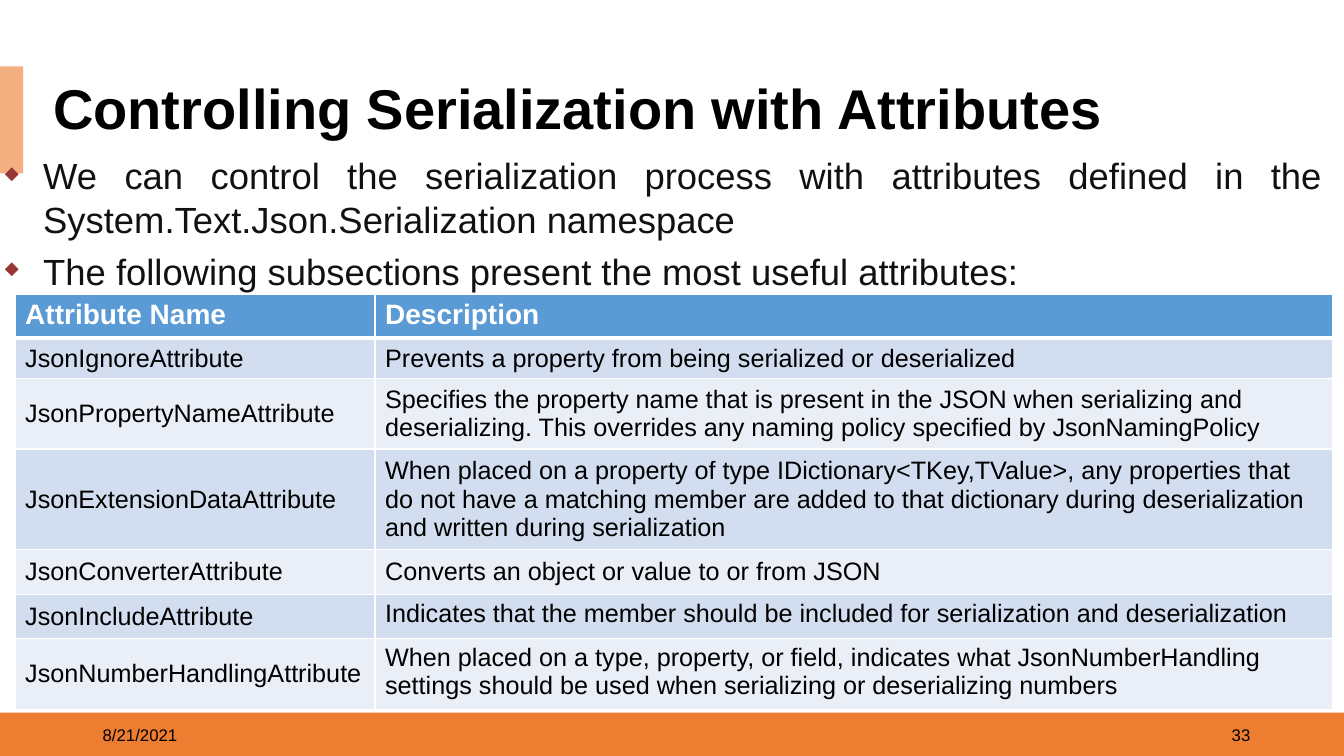
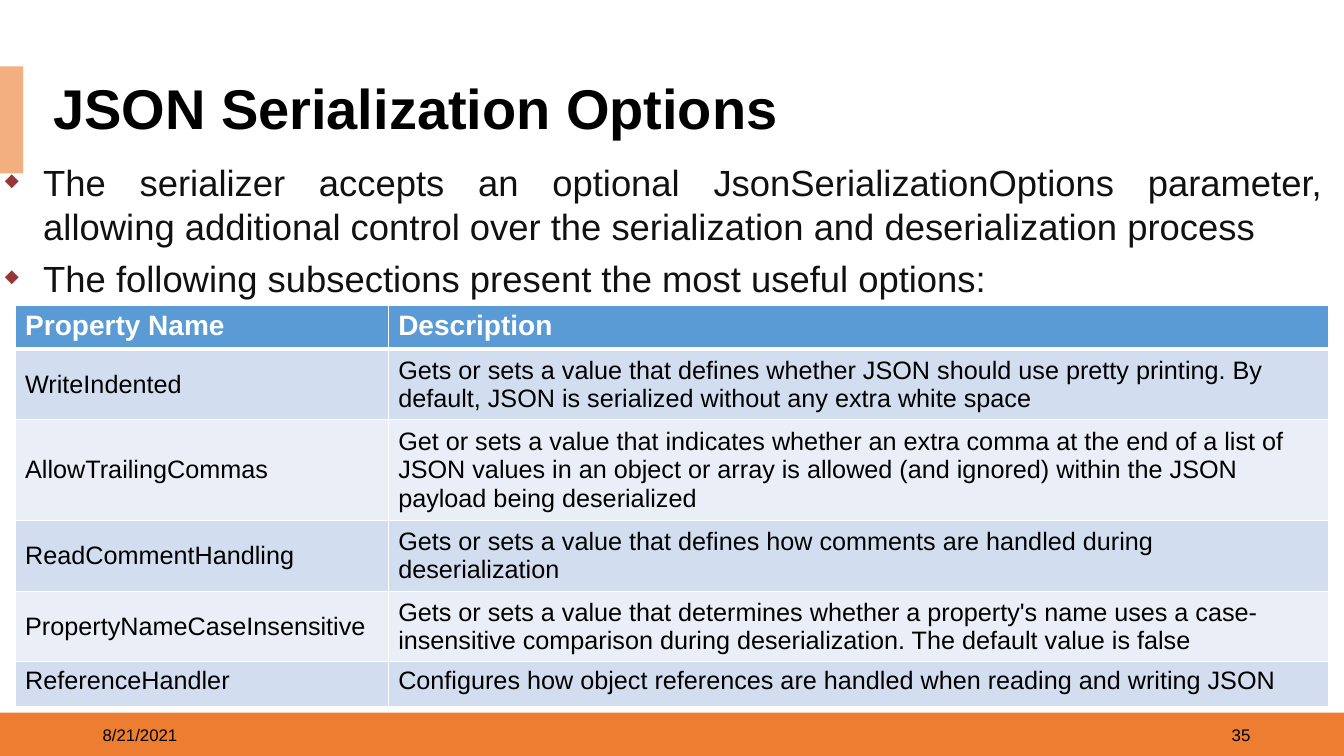
from dataclasses import dataclass

from lxml import etree
from pptx import Presentation
from pptx.dml.color import RGBColor
from pptx.enum.shapes import MSO_SHAPE
from pptx.enum.text import MSO_ANCHOR, PP_ALIGN
from pptx.oxml.ns import qn
from pptx.util import Emu, Pt

RECTANGLE = MSO_SHAPE.RECTANGLE
TOP, MIDDLE = MSO_ANCHOR.TOP, MSO_ANCHOR.MIDDLE
LEFT, RIGHT, JUSTIFY = PP_ALIGN.LEFT, PP_ALIGN.RIGHT, PP_ALIGN.JUSTIFY

PX = 9144  # EMU: 100 px to the inch
PAGE_WIDTH, PAGE_HEIGHT = 1333, 750
BULLET_INDENT = 38


@dataclass(frozen=True)
class Theme:
    font: str = "Arial"
    band: str = "ED7D31"
    accent: str = "F4AF80"
    paper: str = "FFFFFF"
    ink: str = "000000"
    body_ink: str = "111111"
    bullet: str = "973735"
    header_fill: str = "5B9BD5"
    row_fills: tuple = ("D2DEEF", "EAEFF7")
    title_size: int = 40
    body_size: int = 26
    header_size: int = 20
    cell_size: int = 18
    footer_size: int = 12
    border: int = 1
    header_border: int = 3


def px(length):
    return Emu(length * PX)


def paint(target, color):
    target.fill.solid()
    target.fill.fore_color.rgb = RGBColor.from_string(color)


def add_bullet(para, color):
    properties = para._p.get_or_add_pPr()
    properties.set("marL", str(px(BULLET_INDENT)))
    properties.set("indent", str(px(-BULLET_INDENT)))
    bullet_color = etree.SubElement(properties, qn("a:buClr"))
    etree.SubElement(bullet_color, qn("a:srgbClr"), val=color)
    etree.SubElement(properties, qn("a:buSzPct"), val="50000")
    etree.SubElement(properties, qn("a:buChar"), char="◆")


def add_borders(cell, color, widths):
    """Draw the left, right, top and bottom borders, with widths in points."""
    properties = cell._tc.get_or_add_tcPr()
    for place, (side, width) in enumerate(zip("LRTB", widths)):
        line = etree.Element(qn(f"a:ln{side}"), w=str(Pt(width)))
        fill = etree.SubElement(line, qn("a:solidFill"))
        etree.SubElement(fill, qn("a:srgbClr"), val=color)
        properties.insert(place, line)


class DeckBuilder:
    def __init__(self, theme):
        self.theme = theme
        self.deck = Presentation()
        self.deck.slide_width = px(PAGE_WIDTH)
        self.deck.slide_height = px(PAGE_HEIGHT)
        self.page = None

    def start_page(self, title, number):
        """Add a page with the bands, footer and title that all pages share."""
        theme = self.theme
        self.page = self.deck.slides.add_slide(self.deck.slide_layouts[6])
        self.band(0, 707, PAGE_WIDTH, 43, theme.band)
        self.band(0, 66, 23, 106, theme.accent)
        self.label(92, 709, 300, 40, "8/21/2021", theme.footer_size)
        self.label(950, 709, 300, 40, number, theme.footer_size, align=RIGHT)
        self.label(43, 79, 1220, 63, title, theme.title_size, bold=True, spacing=0.9)

    def band(self, left, top, width, height, color):
        shape = self.page.shapes.add_shape(
            RECTANGLE, px(left), px(top), px(width), px(height))
        shape.shadow.inherit = False
        shape.line.fill.background()
        paint(shape, color)

    def text_frame(self, left, top, width, height, anchor):
        box = self.page.shapes.add_textbox(px(left), px(top), px(width), px(height))
        frame = box.text_frame
        frame.word_wrap = True
        frame.vertical_anchor = anchor
        return frame

    def span(self, para, text, size, color, bold=False):
        span = para.add_run()
        span.text = text
        span.font.name = self.theme.font
        span.font.size = Pt(size)
        span.font.bold = bold
        span.font.color.rgb = RGBColor.from_string(color)

    def label(self, left, top, width, height, text, size,
              align=LEFT, bold=False, spacing=1.0):
        para = self.text_frame(left, top, width, height, MIDDLE).paragraphs[0]
        para.alignment = align
        para.line_spacing = spacing
        self.span(para, text, size, self.theme.ink, bold)

    def bullets(self, top, lines):
        frame = self.text_frame(-5, top, 1328, 150, TOP)
        for index, line in enumerate(lines):
            para = frame.add_paragraph() if index else frame.paragraphs[0]
            para.alignment = JUSTIFY
            para.space_before = para.space_after = Pt(3)
            add_bullet(para, self.theme.bullet)
            self.span(para, line, self.theme.body_size, self.theme.body_ink)

    def table(self, top, column_widths, row_heights, rows, top_anchored):
        """Build a table; top_anchored holds (row, column) of cells not centred."""
        table = self.page.shapes.add_table(
            len(rows), len(column_widths), px(15), px(top),
            px(sum(column_widths)), px(sum(row_heights))).table
        table.first_row = table.horz_banding = False
        for column, width in zip(table.columns, column_widths):
            column.width = px(width)
        for row_index, (row, height) in enumerate(zip(rows, row_heights)):
            table.rows[row_index].height = px(height)
            for column_index, text in enumerate(row):
                at_top = row_index == 0 or (row_index, column_index) in top_anchored
                self.cell(table.cell(row_index, column_index), text, row_index,
                          TOP if at_top else MIDDLE)

    def cell(self, cell, text, row_index, anchor):
        theme = self.theme
        header = row_index == 0
        cell.vertical_anchor = anchor
        para = cell.text_frame.paragraphs[0]
        para.alignment = JUSTIFY if header else LEFT
        if header:
            paint(cell, theme.header_fill)
            self.span(para, text, theme.header_size, theme.paper, bold=True)
        else:
            paint(cell, theme.row_fills[(row_index - 1) % 2])
            self.span(para, text, theme.cell_size, theme.ink)
        above = theme.header_border if row_index == 1 else theme.border
        below = theme.header_border if header else theme.border
        add_borders(cell, theme.paper, (theme.border, theme.border, above, below))


ATTRIBUTES = [
    ("Attribute Name", "Description"),
    ("JsonIgnoreAttribute",
     "Prevents a property from being serialized or deserialized"),
    ("JsonPropertyNameAttribute",
     "Specifies the property name that is present in the JSON when serializing and "
     "deserializing. This overrides any naming policy specified by JsonNamingPolicy"),
    ("JsonExtensionDataAttribute",
     "When placed on a property of type IDictionary<TKey,TValue>, any properties that "
     "do not have a matching member are added to that dictionary during "
     "deserialization and written during serialization"),
    ("JsonConverterAttribute", "Converts an object or value to or from JSON"),
    ("JsonIncludeAttribute",
     "Indicates that the member should be included for serialization and "
     "deserialization"),
    ("JsonNumberHandlingAttribute",
     "When placed on a type, property, or field, indicates what JsonNumberHandling "
     "settings should be used when serializing or deserializing numbers"),
]

OPTIONS = [
    ("Property Name", "Description"),
    ("WriteIndented",
     "Gets or sets a value that defines whether JSON should use pretty printing. By "
     "default, JSON is serialized without any extra white space"),
    ("AllowTrailingCommas",
     "Get or sets a value that indicates whether an extra comma at the end of a list "
     "of JSON values in an object or array is allowed (and ignored) within the JSON "
     "payload being deserialized"),
    ("ReadCommentHandling",
     "Gets or sets a value that defines how comments are handled during "
     "deserialization"),
    ("PropertyNameCaseInsensitive",
     "Gets or sets a value that determines whether a property's name uses a "
     "case-insensitive comparison during deserialization. The default value is false"),
    ("ReferenceHandler",
     "Configures how object references are handled when reading and writing JSON"),
]


def main():
    builder = DeckBuilder(Theme())

    builder.start_page("Controlling Serialization with Attributes", "33")
    builder.bullets(147, [
        "We can control the serialization process with attributes defined in the "
        "System.Text.Json.Serialization namespace",
        "The following subsections present the most useful attributes:",
    ])
    builder.table(292, (357, 950), (42, 40, 70, 100, 44, 44, 70), ATTRIBUTES,
                  top_anchored={(5, 1), (6, 1)})

    builder.start_page("JSON Serialization Options", "35")
    builder.bullets(154, [
        "The serializer accepts an optional JsonSerializationOptions parameter, "
        "allowing additional control over the serialization and deserialization process",
        "The following subsections present the most useful options:",
    ])
    builder.table(303, (370, 933), (42, 70, 100, 70, 70, 44), OPTIONS,
                  top_anchored={(5, 0), (5, 1)})

    builder.deck.save("out.pptx")


if __name__ == "__main__":
    main()
